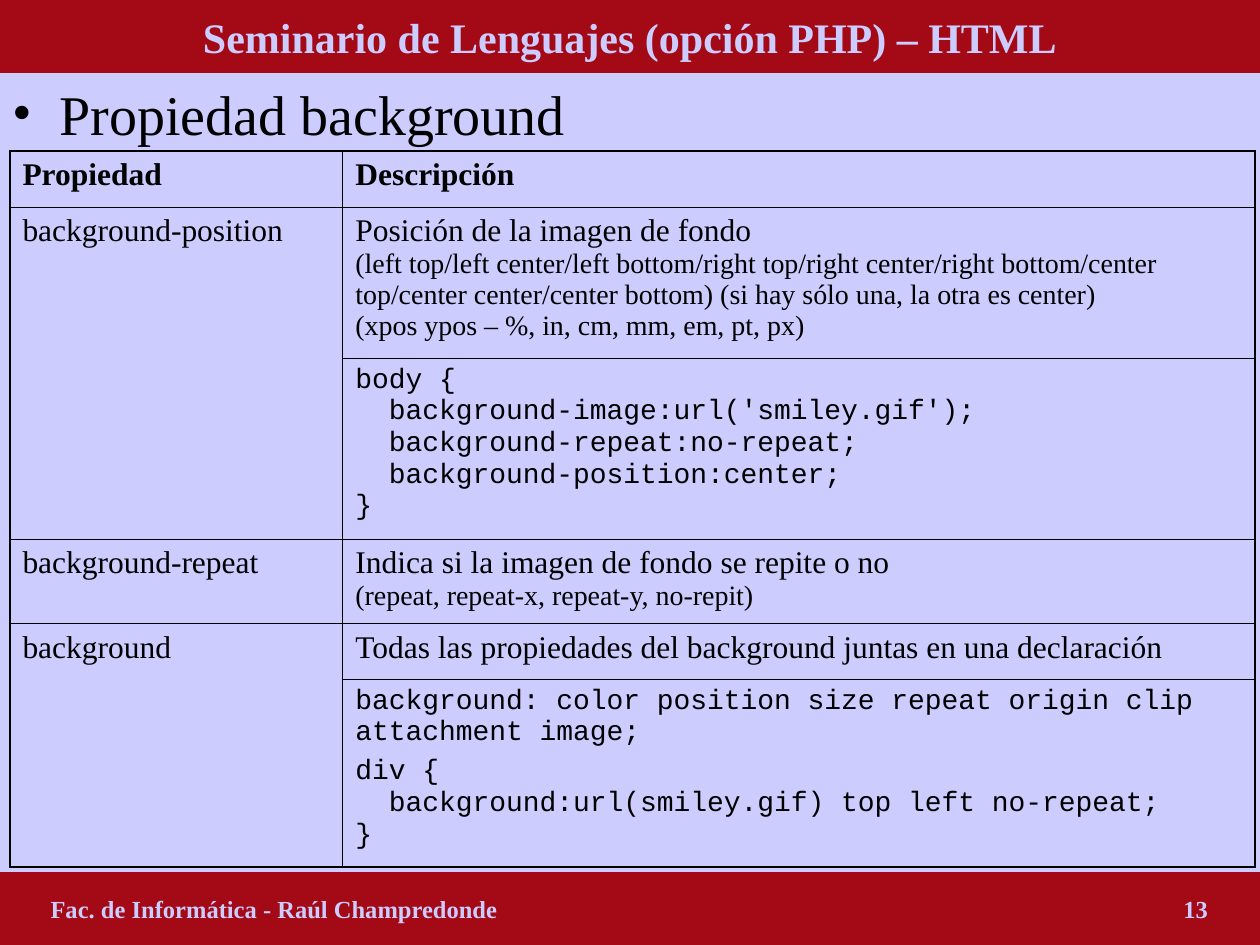
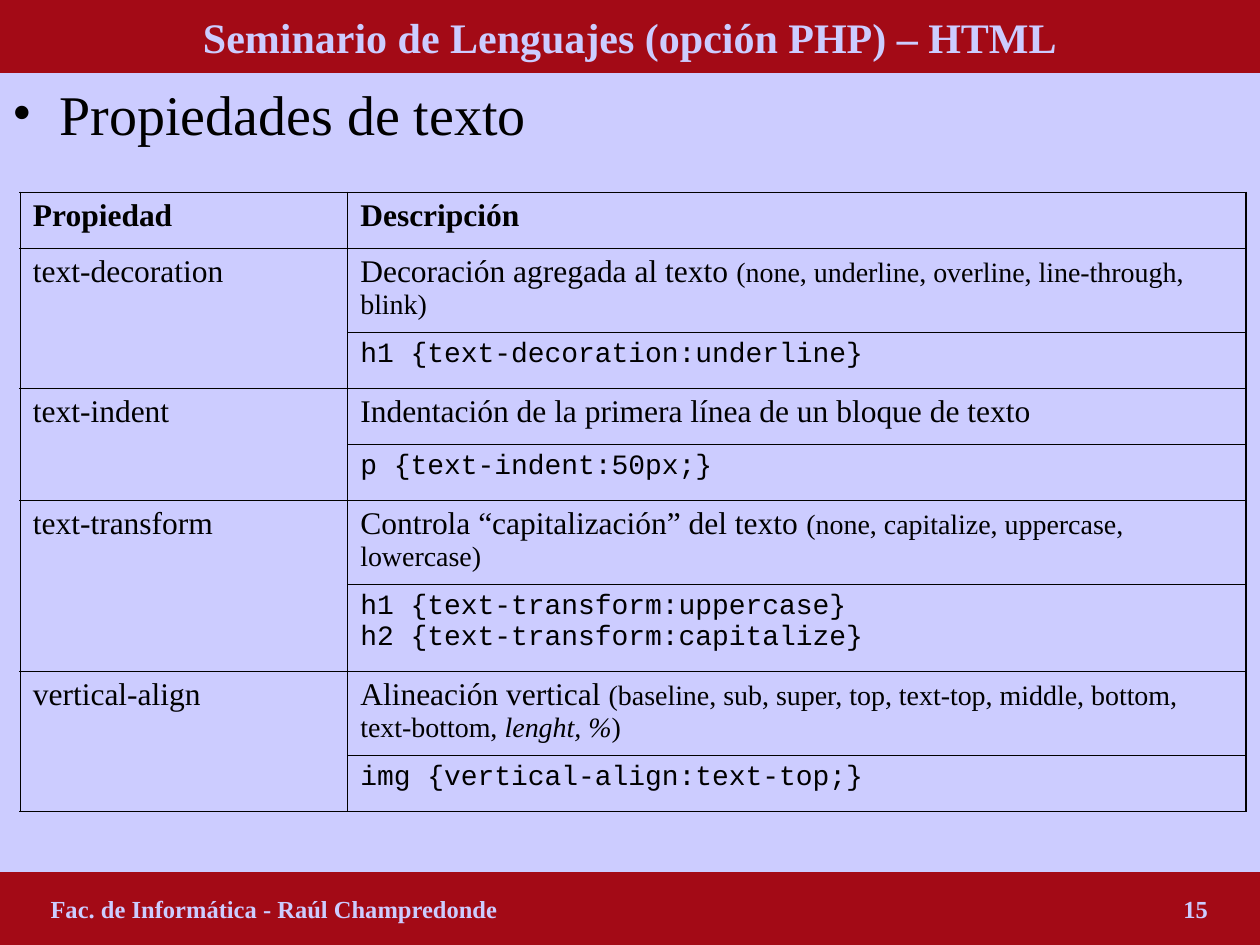
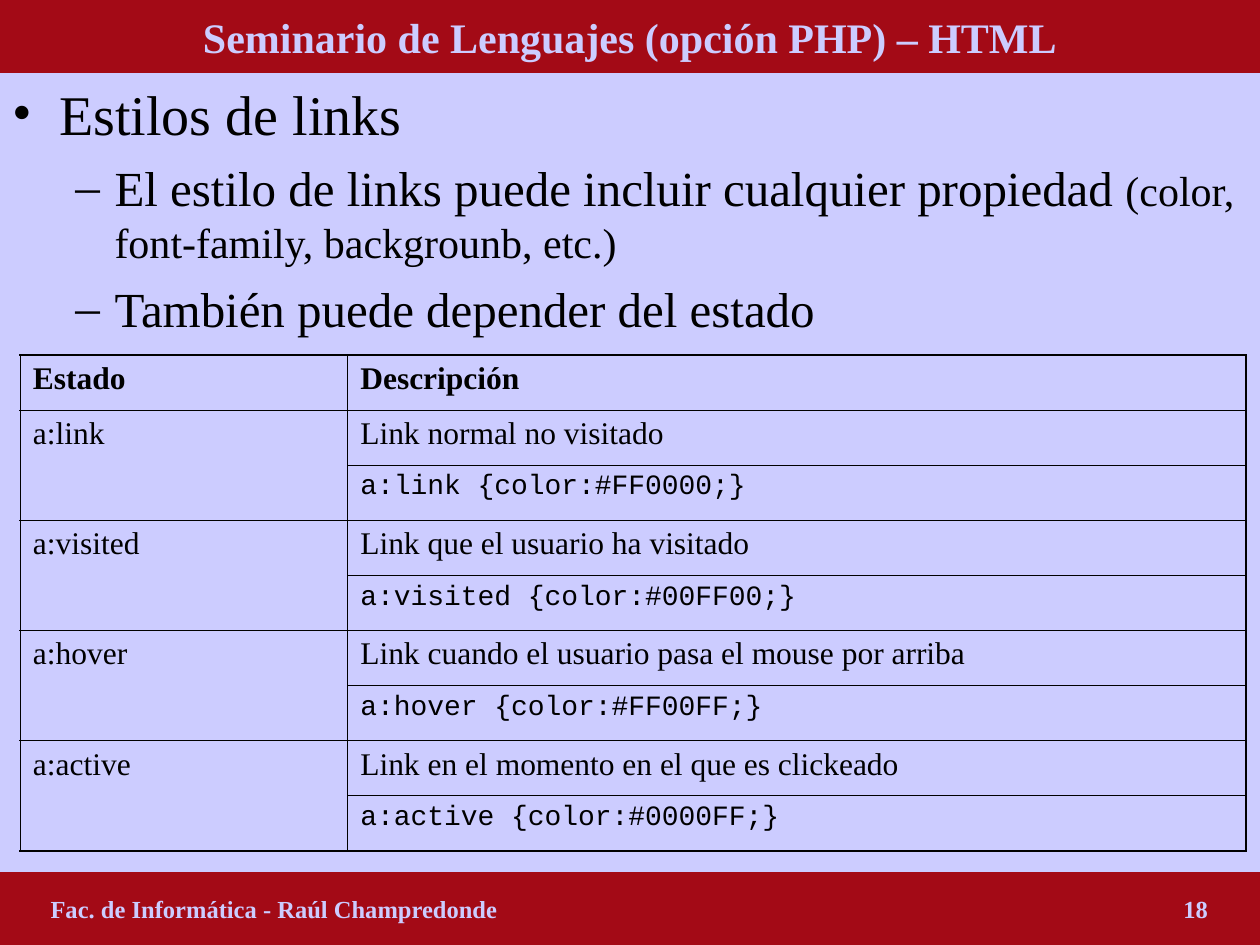
from collections import namedtuple
from copy import deepcopy

from lxml.etree import SubElement
from pptx import Presentation
from pptx.dml.color import RGBColor
from pptx.enum.shapes import MSO_SHAPE
from pptx.enum.text import MSO_ANCHOR, PP_ALIGN
from pptx.oxml import parse_xml
from pptx.oxml.ns import nsdecls, qn
from pptx.util import Cm, Pt

LAVENDER = RGBColor(0xCC, 0xCC, 0xFF)
CRIMSON = RGBColor(0xA3, 0x0A, 0x16)
BLACK = RGBColor(0, 0, 0)
SERIF = "Times New Roman"
MONO = "Courier New"

WIDTH, HEIGHT, BAND = Cm(25.4), Cm(19.05), Cm(1.47)
COURSE = "Seminario de Lenguajes (opción PHP) – HTML"
AUTHOR = "Fac. de Informática - Raúl Champredonde"
FOOTER_MARGIN, NUMBER_STOP = Cm(1.02), Cm(23.33)

SHORT, TALL = 1.13, 1.69
LINK_ROW = 1.11
OUTER, INNER = 1.08, 0.45

Span = namedtuple("Span", "text size font bold italic color",
                  defaults=(18, SERIF, False, False, BLACK))
Bullet = namedtuple("Bullet", "char margin hanging level")
TOPIC = Bullet("•", 0.95, 0.95, 0)
DETAIL = Bullet("–", 2.06, 0.79, 1)


def small(text, italic=False):
    return Span(text, 16, italic=italic)


def code(text):
    return Span(text, 16, MONO)


def add_spans(paragraph, spans):
    for span in spans:
        for number, line in enumerate(span.text.split("\n")):
            if number:
                paragraph.add_line_break()
                paragraph._p[-1].append(deepcopy(run.font._rPr))
            if not line:
                continue
            run = paragraph.add_run()
            run.text = line
            run.font.size = Pt(span.size)
            run.font.name = span.font
            run.font.bold = span.bold
            run.font.italic = span.italic
            run.font.color.rgb = span.color


def fill_frame(frame, paragraphs, gap):
    frame.word_wrap = True
    for number, spans in enumerate(paragraphs):
        paragraph = frame.add_paragraph() if number else frame.paragraphs[0]
        if number:
            paragraph.space_before = Pt(gap)
        add_spans(paragraph, spans)


def set_bullet(paragraph, bullet):
    paragraph.level = bullet.level
    properties = paragraph._p.get_or_add_pPr()
    properties.set("marL", str(Cm(bullet.margin)))
    properties.set("indent", str(-Cm(bullet.hanging)))
    color = SubElement(properties, qn("a:buClr"))
    SubElement(color, qn("a:srgbClr"), val=str(BLACK))
    SubElement(properties, qn("a:buFont"), typeface=SERIF)
    SubElement(properties, qn("a:buChar"), char=bullet.char)


def add_band(slide, top, text, size):
    band = slide.shapes.add_shape(MSO_SHAPE.RECTANGLE, 0, top, WIDTH, BAND)
    band.shadow.inherit = False
    band.fill.solid()
    band.fill.fore_color.rgb = CRIMSON
    band.line.fill.background()
    frame = band.text_frame
    frame.vertical_anchor = MSO_ANCHOR.MIDDLE
    fill_frame(frame, [[Span(text, size, bold=True, color=LAVENDER)]], 0)
    frame.paragraphs[0].alignment = PP_ALIGN.CENTER
    return frame


def add_footer(slide, number):
    frame = add_band(slide, HEIGHT - BAND, f"{AUTHOR}\t{number}", 14)
    frame.margin_left = FOOTER_MARGIN
    frame.margin_right = Cm(1)
    paragraph = frame.paragraphs[0]
    paragraph.alignment = PP_ALIGN.LEFT
    stops = SubElement(paragraph._p.get_or_add_pPr(), qn("a:tabLst"))
    SubElement(stops, qn("a:tab"), pos=str(NUMBER_STOP), algn="r")


def add_outline(slide, topic, details):
    outline = slide.shapes.add_textbox(0, BAND, WIDTH, HEIGHT - 2 * BAND)
    fill_frame(outline.text_frame, [[Span(topic, 32)], *details], 6.5)
    for number, paragraph in enumerate(outline.text_frame.paragraphs):
        set_bullet(paragraph, DETAIL if number else TOPIC)


def start_slide(deck, number, topic, details=()):
    slide = deck.slides.add_slide(deck.slide_layouts[6])
    slide.background.fill.solid()
    slide.background.fill.fore_color.rgb = LAVENDER
    add_outline(slide, topic, details)
    add_band(slide, 0, COURSE, 24)
    add_footer(slide, number)
    return slide


def set_borders(cell, outer_sides):
    properties = cell._tc.get_or_add_tcPr()
    for position, side in enumerate("LRTB"):
        width = Pt(OUTER if side in outer_sides else INNER)
        properties.insert(position, parse_xml(
            f'<a:ln{side} {nsdecls("a")} w="{width}"><a:solidFill>'
            f'<a:srgbClr val="{BLACK}"/></a:solidFill></a:ln{side}>'))


def add_properties(slide, left, top, widths, heading, heading_height, entries):
    heights = [heading_height]
    heights += [height for _, rows in entries for height, _ in rows]
    last = len(heights) - 1
    table = slide.shapes.add_table(
        len(heights), 2, Cm(left), Cm(top),
        Cm(sum(widths)), Cm(sum(heights))).table
    table.first_row = table.horz_banding = False
    for column, width in zip(table.columns, widths):
        column.width = Cm(width)
    for row, height in zip(table.rows, heights):
        row.height = Cm(height)

    for column, text in enumerate((heading, "Descripción")):
        fill_frame(table.cell(0, column).text_frame,
                   [[Span(text, bold=True)]], 0)
    first = 1
    for name, rows in entries:
        end = first + len(rows) - 1
        if end > first:
            table.cell(first, 0).merge(table.cell(end, 0))
        fill_frame(table.cell(first, 0).text_frame, [[Span(name)]], 0)
        for row, (_, paragraphs) in enumerate(rows, first):
            fill_frame(table.cell(row, 1).text_frame, paragraphs, 4)
        first = end + 1

    for row in range(last + 1):
        for column, side in enumerate("LR"):
            cell = table.cell(row, column)
            cell.fill.background()
            bottom = row + (cell.span_height if cell.is_merge_origin else 1) - 1
            set_borders(cell, side + "T" * (row == 0) + "B" * (bottom == last))


def background_slide(deck):
    slide = start_slide(deck, 13, "Propiedad background")
    add_properties(slide, 0.2, 3.05, (6.71, 18.39), "Propiedad", SHORT, [
        ("background-position", [
            (3.04, [[Span("Posición de la imagen de fondo\n"), small(
                "(left top/left center/left bottom/right top/right center/"
                "right bottom/center top/center center/center bottom) "
                "(si hay sólo una, la otra es center)\n"
                "(xpos ypos – %, in, cm, mm, em, pt, px)")]]),
            (3.65, [[code("body {\n"
                          "  background-image:url('smiley.gif');\n"
                          "  background-repeat:no-repeat;\n"
                          "  background-position:center;\n"
                          "}")]]),
        ]),
        ("background-repeat", [
            (TALL, [[Span("Indica si la imagen de fondo se repite o no\n"),
                     small("(repeat, repeat-x, repeat-y, no-repit)")]]),
        ]),
        ("background", [
            (SHORT, [[Span("Todas las propiedades del background juntas "
                           "en una declaración")]]),
            (3.77, [[code("background: color position size repeat origin clip "
                          "attachment image;")],
                    [code("div {\n"
                          "  background:url(smiley.gif) top left no-repeat;\n"
                          "}")]]),
        ]),
    ])


def text_slide(deck):
    slide = start_slide(deck, 15, "Propiedades de texto")
    add_properties(slide, 0.41, 3.88, (6.6, 18.11), "Propiedad", SHORT, [
        ("text-decoration", [
            (TALL, [[Span("Decoración agregada al texto "), small(
                "(none, underline, overline, line-through, blink)")]]),
            (SHORT, [[code("h1 {text-decoration:underline}")]]),
        ]),
        ("text-indent", [
            (SHORT, [[Span("Indentación de la primera línea "
                           "de un bloque de texto")]]),
            (SHORT, [[code("p {text-indent:50px;}")]]),
        ]),
        ("text-transform", [
            (TALL, [[Span("Controla “capitalización” del texto "),
                     small("(none, capitalize, uppercase, lowercase)")]]),
            (1.75, [[code("h1 {text-transform:uppercase}\n"
                          "h2 {text-transform:capitalize}")]]),
        ]),
        ("vertical-align", [
            (TALL, [[Span("Alineación vertical "),
                     small("(baseline, sub, super, top, text-top, middle, "
                           "bottom, text-bottom, "),
                     small("lenght, %", italic=True), small(")")]]),
            (SHORT, [[code("img {vertical-align:text-top;}")]]),
        ]),
    ])


def links_slide(deck):
    slide = start_slide(deck, 18, "Estilos de links", [
        [Span("El estilo de links puede incluir cualquier propiedad ", 28),
         Span("(color, font-family, backgrounb, etc.)", 24)],
        [Span("También puede depender del estado", 28)],
    ])
    states = [
        ("a:link", "Link normal no visitado", "#FF0000"),
        ("a:visited", "Link que el usuario ha visitado", "#00FF00"),
        ("a:hover", "Link cuando el usuario pasa el mouse por arriba",
         "#FF00FF"),
        ("a:active", "Link en el momento en el que es clickeado", "#0000FF"),
    ]
    add_properties(slide, 0.41, 7.16, (6.6, 18.11), "Estado", LINK_ROW, [
        (state, [(LINK_ROW, [[Span(meaning)]]),
                 (LINK_ROW, [[code(f"{state} {{color:{color};}}")]])])
        for state, meaning, color in states
    ])


def main():
    deck = Presentation()
    deck.slide_width, deck.slide_height = WIDTH, HEIGHT
    background_slide(deck)
    text_slide(deck)
    links_slide(deck)
    deck.save("out.pptx")


if __name__ == "__main__":
    main()
